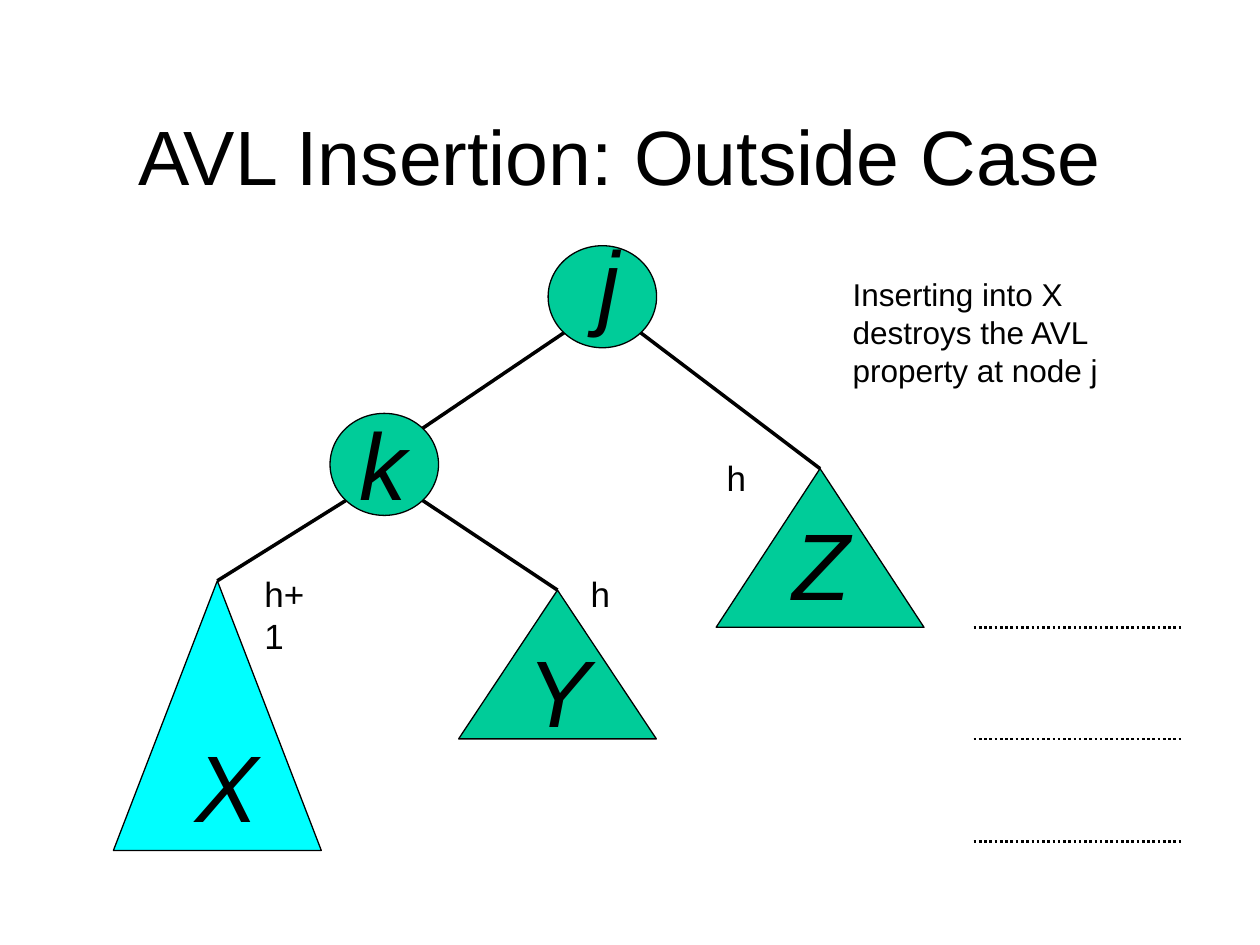
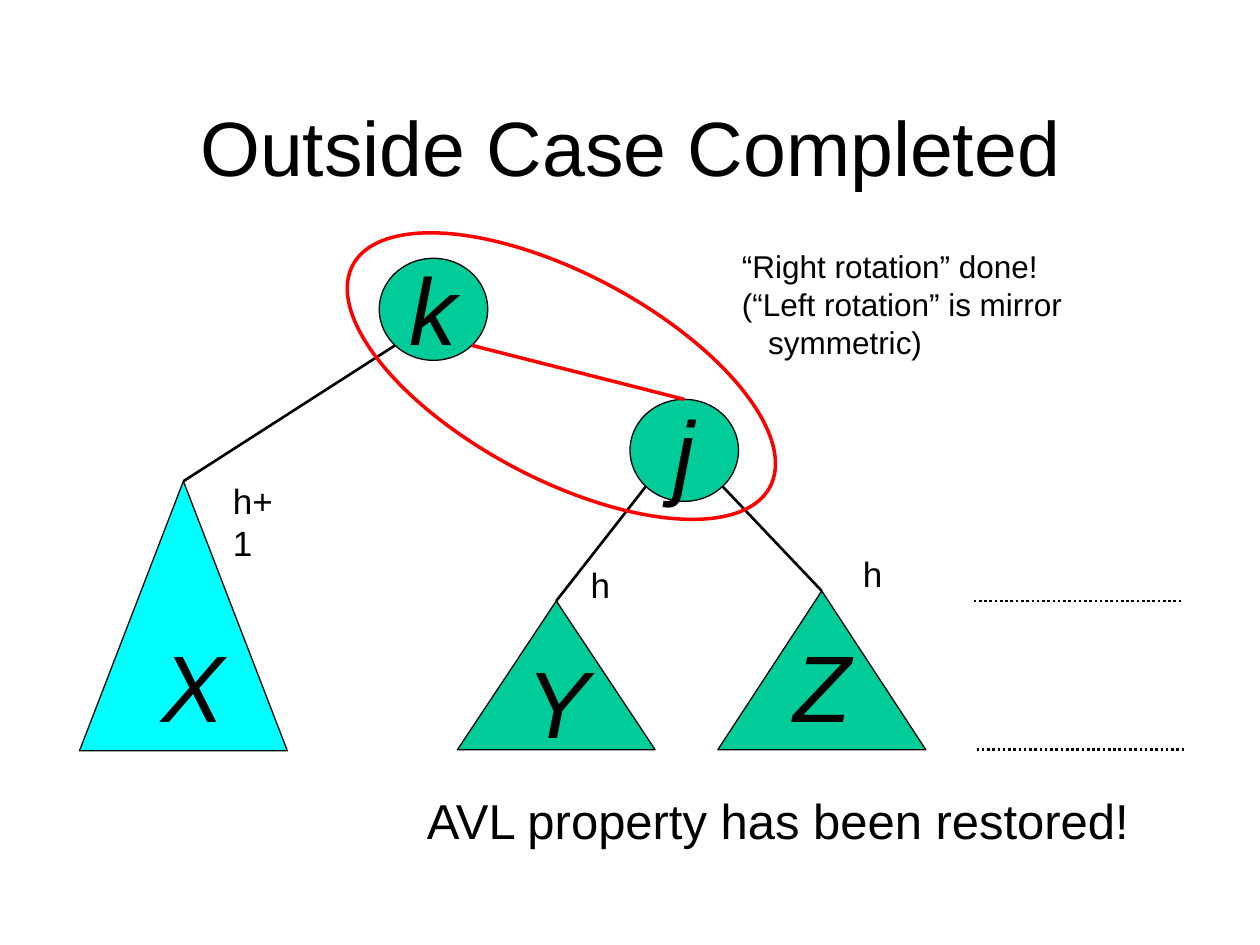
from lxml import etree
from pptx import Presentation
from pptx.dml.color import RGBColor
from pptx.enum.dml import MSO_LINE_DASH_STYLE as Dash
from pptx.enum.shapes import MSO_CONNECTOR as Connector, MSO_SHAPE as Shape
from pptx.enum.text import MSO_ANCHOR as Anchor, PP_ALIGN as Align
from pptx.oxml.ns import qn
from pptx.util import Pt

# Shared look
FONT = "Arial"
BLACK, GREEN, CYAN, RED = "000000", "00CC99", "00FFFF", "FF0000"
LETTER_SIZE, HEIGHT_SIZE, NOTE_SIZE, TITLE_SIZE = 54, 20, 18, 44
LINE_FACTOR = 1.21
NODE_WIDTH, NODE_HEIGHT = 62, 58.3
LETTER_BOX = (38, 72)
GUIDE_LENGTH = 118.5

# Subtree letter: width, height, letter offset from the corner, fill
SUBTREES = {
    "X": (118.8, 154.1, (39.6, 80), CYAN),
    "Y": (113, 85, (32.4, 20.5), GREEN),
    "Z": (118.8, 90.7, (36.4, 17.2), GREEN),
}


def colour(hex_code):
    return RGBColor.from_string(hex_code)


def write(shape, lines, size, italic=False, align=Align.LEFT,
          anchor=Anchor.TOP, wrap=False, last_indent=0):
    """Fill a shape with one paragraph per line."""
    frame = shape.text_frame
    frame.word_wrap = wrap
    frame.vertical_anchor = anchor
    for index, line in enumerate(lines):
        paragraph = frame.paragraphs[0] if index == 0 else frame.add_paragraph()
        if last_indent and index == len(lines) - 1:
            paragraph._p.get_or_add_pPr().set("marL", str(Pt(last_indent)))
        paragraph.alignment = align
        paragraph.line_spacing = Pt(round(size * LINE_FACTOR, 2))
        run = paragraph.add_run()
        run.text = line
        run.font.name = FONT
        run.font.size = Pt(size)
        run.font.italic = italic
        run.font.color.rgb = colour(BLACK)


def add_text(slide, left, top, width, height, lines, size, **style):
    box = slide.shapes.add_textbox(Pt(left), Pt(top), Pt(width), Pt(height))
    write(box, lines, size, **style)


def add_title(slide, top, text):
    add_text(slide, 52.6, top, 615.6, 63.4, [text], TITLE_SIZE,
             align=Align.CENTER, anchor=Anchor.MIDDLE, wrap=True)


def add_letter(slide, left, top, letter):
    add_text(slide, left, top, *LETTER_BOX, [letter], LETTER_SIZE,
             italic=True, wrap=True)


def add_height(slide, left, top, text):
    add_text(slide, left, top, 48 if len(text) > 1 else 25, 31.7,
             [text], HEIGHT_SIZE)


def add_figure(slide, kind, left, top, width, height, fill=None,
               line=BLACK, line_width=0.75):
    shape = slide.shapes.add_shape(kind, Pt(left), Pt(top), Pt(width), Pt(height))
    shape.shadow.inherit = False
    if fill:
        shape.fill.solid()
        shape.fill.fore_color.rgb = colour(fill)
    else:
        shape.fill.background()
    shape.line.color.rgb = colour(line)
    shape.line.width = Pt(line_width)
    return shape


def add_node(slide, left, top, letter, offset=None):
    """Tree node; without an offset the letter is centred inside it."""
    node = add_figure(slide, Shape.OVAL, left, top, NODE_WIDTH, NODE_HEIGHT, GREEN)
    if offset:
        add_letter(slide, left + offset[0], top + offset[1], letter)
    else:
        write(node, [letter], LETTER_SIZE, italic=True,
              align=Align.CENTER, anchor=Anchor.MIDDLE)
    return node


def add_subtree(slide, left, top, letter):
    width, height, (shift, drop), fill = SUBTREES[letter]
    triangle = add_figure(slide, Shape.ISOSCELES_TRIANGLE, left, top,
                          width, height, fill)
    add_letter(slide, left + shift, top + drop, letter)
    return triangle


def diagonal_point(node, side, level):
    """Point on the node's rim; side -1 left, 1 right; level -1 up, 1 down."""
    reach = 0.5 ** 0.5 / 2
    return (node.left.pt + node.width.pt * (0.5 + side * reach),
            node.top.pt + node.height.pt * (0.5 + level * reach))


def add_line(slide, start, end, width, line=BLACK):
    connector = slide.shapes.add_connector(
        Connector.STRAIGHT, *(Pt(value) for value in (*start, *end)))
    connector.line.color.rgb = colour(line)
    connector.line.width = Pt(width)
    etree.SubElement(connector._element.spPr, qn("a:effectLst"))
    return connector


def add_branch(slide, parent, side, child, width, line=BLACK):
    """Edge from the parent's lower rim to the top of the child."""
    start = diagonal_point(parent, side, 1)
    top = (child.left.pt + child.width.pt / 2, child.top.pt)
    add_line(slide, start, top, width, line).end_connect(child, 0)


def add_guide(slide, left, top):
    guide = add_line(slide, (left, top), (left + GUIDE_LENGTH, top), 1.5)
    guide.line.dash_style = Dash.ROUND_DOT


def build_insertion(slide):
    add_title(slide, 56.2, "AVL Insertion: Outside Case ")

    # Tree
    node_j = add_node(slide, 313.2, 140.4, "j", (21.6, -16.6))
    node_k = add_node(slide, 188.6, 236.2, "k", (10, -8))
    subtree_x = add_subtree(slide, 64.8, 331.9, "X")
    subtree_y = add_subtree(slide, 262.1, 337.2, "Y")
    subtree_z = add_subtree(slide, 409.2, 267.8, "Z")
    add_line(slide, diagonal_point(node_j, -1, 1), diagonal_point(node_k, 1, -1), 2)
    add_branch(slide, node_k, -1, subtree_x, 2)
    add_branch(slide, node_k, 1, subtree_y, 2)
    add_branch(slide, node_j, 1, subtree_z, 2)

    # Level guides, heights and note
    for top in (358.6, 422.2, 481):
        add_guide(slide, 556.4, top)
    for left, top, text in ((408.2, 257, "h"), (144, 323.3, "h+1"), (330.5, 323.3, "h")):
        add_height(slide, left, top, text)
    add_text(slide, 480.2, 153.4, 155.5, 72.7,
             ["Inserting into X", "destroys the AVL", "property at node j"], NOTE_SIZE)


def build_completed(slide):
    add_title(slide, 51.1, "Outside Case Completed")

    # Rotated tree
    node_j = add_node(slide, 360, 228.2, "j")
    node_k = add_node(slide, 216.7, 147.6, "k", (10, -8))
    subtree_x = add_subtree(slide, 45.4, 275, "X")
    subtree_y = add_subtree(slide, 261.4, 343.4, "Y")
    subtree_z = add_subtree(slide, 410.2, 337.7, "Z")
    add_branch(slide, node_k, -1, subtree_x, 1.5)
    add_branch(slide, node_j, -1, subtree_y, 1.5)
    add_branch(slide, node_j, 1, subtree_z, 1.5)

    # Rotation highlight
    add_branch(slide, node_k, 1, node_j, 2, RED)
    highlight = add_figure(slide, Shape.OVAL, 185.8, 156.2, 270, 117.4,
                           line=RED, line_width=2)
    highlight.rotation = 28

    # Level guides, heights and notes
    add_guide(slide, 556.4, 343.4)
    add_guide(slide, 558, 428.4)
    for left, top, text in ((486, 311.8, "h"), (126, 270, "h+1"), (330.5, 318.2, "h")):
        add_height(slide, left, top, text)
    add_text(slide, 416.9, 137.5, 199.4, 72.7,
             ["“Right rotation” done!", "(“Left rotation” is mirror", "symmetric)"],
             NOTE_SIZE, last_indent=15)
    add_text(slide, 236.9, 447.8, 419.8, 41, ["AVL property has been restored!"], 28)


def main():
    presentation = Presentation()
    presentation.slide_width, presentation.slide_height = Pt(720), Pt(540)
    blank = presentation.slide_layouts[6]
    for build in (build_insertion, build_completed):
        build(presentation.slides.add_slide(blank))
    presentation.save("out.pptx")


if __name__ == "__main__":
    main()
